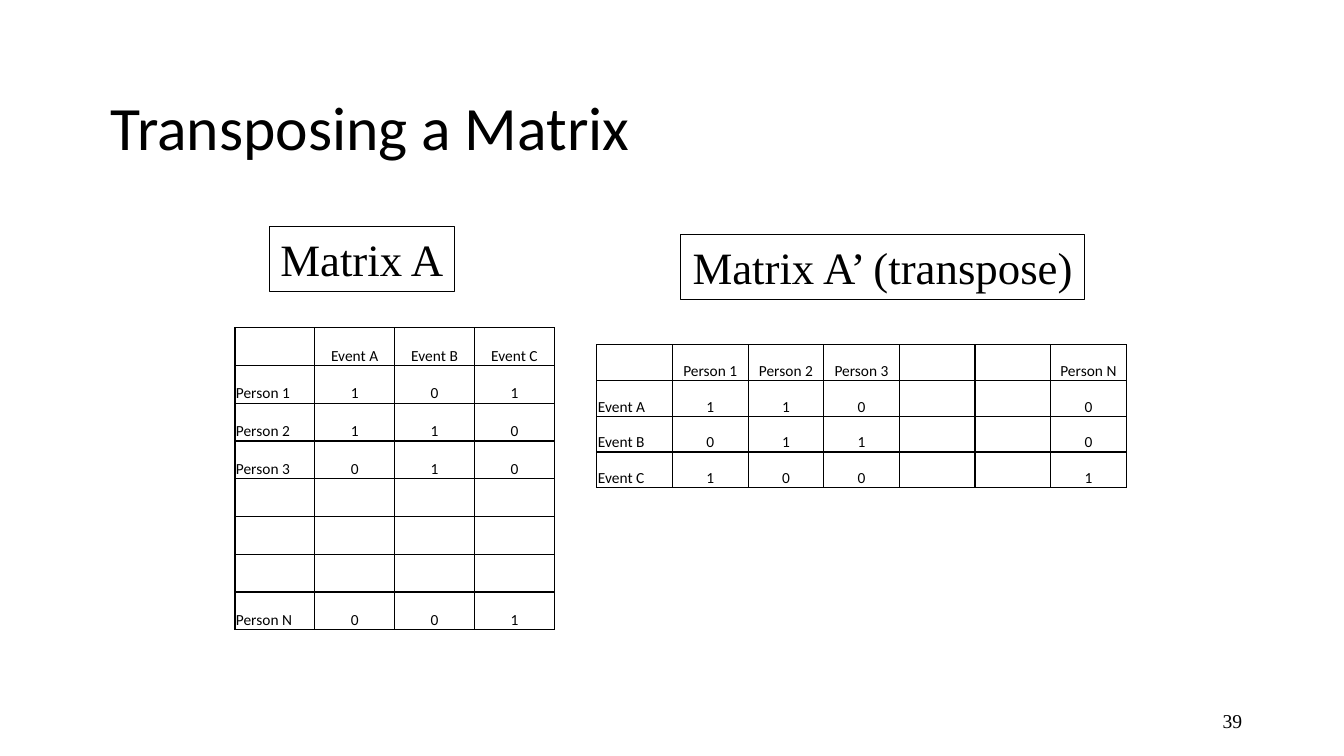
from lxml import etree
from pptx import Presentation
from pptx import util as u
from pptx.dml.color import RGBColor
from pptx.enum import shapes, text
from pptx.oxml import ns

SANS, SERIF = "Calibri", "Times New Roman"
LEFT, MID, RIGHT = text.PP_ALIGN.LEFT, text.PP_ALIGN.CENTER, text.PP_ALIGN.RIGHT


def color(code):
    return RGBColor.from_string(code)


def inches(*sizes):
    return [u.Inches(size) for size in sizes]


class Page:
    ink = "000000"

    def __init__(self, deck):
        self.slide = deck.slides.add_slide(deck.slide_layouts[5])
        self.shapes = self.slide.shapes

    def put(self, frame, words, size, font, align):
        par = frame.paragraphs[0]
        par.text = words
        par.alignment = align
        par.font.size = u.Pt(size)
        par.font.name = font
        par.font.color.rgb = color(self.ink)
        return par

    def title(self, words, *box):
        head = self.shapes.title
        head.left, head.top, head.width, head.height = inches(*box)
        head.text_frame.vertical_anchor = text.MSO_ANCHOR.MIDDLE
        self.put(head.text_frame, words, 44, SANS, LEFT).line_spacing = 0.9

    def number(self, words, *box):
        frame = self.shapes.add_textbox(*inches(*box)).text_frame
        frame.word_wrap = True
        frame.vertical_anchor = text.MSO_ANCHOR.MIDDLE
        self.put(frame, words, 14, SERIF, RIGHT)

    def label(self, words, *box):
        rect = self.shapes.add_shape(shapes.MSO_SHAPE.RECTANGLE, *inches(*box))
        rect.shadow.inherit = False
        rect.fill.background()
        rect.line.color.rgb = color(self.ink)
        rect.line.width = u.Pt(0.75)
        frame = rect.text_frame
        frame.word_wrap = False
        frame.auto_size = text.MSO_AUTO_SIZE.SHAPE_TO_FIT_TEXT
        frame.vertical_anchor = text.MSO_ANCHOR.TOP
        self.put(frame, words, 32, SERIF, MID)

    def border(self, cell):
        props = cell._tc.get_or_add_tcPr()
        for spot, side in enumerate(("lnL", "lnR", "lnT", "lnB")):
            line = etree.Element(ns.qn("a:" + side), w=str(u.Pt(1)))
            fill = etree.SubElement(line, ns.qn("a:solidFill"))
            etree.SubElement(fill, ns.qn("a:srgbClr"), val=self.ink)
            props.insert(spot, line)

    def table(self, rows, *box):
        frame = self.shapes.add_table(len(rows), len(rows[0]), *inches(*box))
        grid = frame.table
        grid.first_row = grid.horz_banding = False
        for r, row in enumerate(rows):
            for c, words in enumerate(row):
                cell = grid.cell(r, c)
                cell.fill.background()
                self.border(cell)
                cell.margin_left = cell.margin_right = u.Inches(0.01)
                cell.margin_top, cell.margin_bottom = inches(0.01, 0)
                cell.vertical_anchor = text.MSO_ANCHOR.BOTTOM
                self.put(cell.text_frame, words, 11, SANS, MID if c else LEFT)


def main():
    deck = Presentation()
    deck.slide_width, deck.slide_height = inches(13.33, 7.5)
    page = Page(deck)

    # Heading and page number
    page.title("Transposing a Matrix", 1, 0.67, 11.33, 1.25)
    page.number("39", 9.42, 6.95, 3, 0.4)

    # Who went to which event
    blank = [""] * 4
    top = [
        ["", "Event A", "Event B", "Event C"],
        ["Person 1", "1", "0", "1"],
        ["Person 2", "1", "1", "0"],
        ["Person 3", "0", "1", "0"],
    ]
    last = ["Person N", "0", "0", "1"]

    # Matrix A
    page.table(top + [blank] * 3 + [last], 2.33, 3.25, 3.17, 3)
    page.label("Matrix A", 2.67, 2.25, 1.84, 0.64)

    # Its transpose, with one blank fewer
    flipped = list(zip(*top, blank, blank, last))
    page.table(flipped, 5.92, 3.42, 5.25, 1.42)
    page.label("Matrix A’ (transpose)", 6.75, 2.33, 4.01, 0.64)

    deck.save("out.pptx")


if __name__ == "__main__":
    main()
